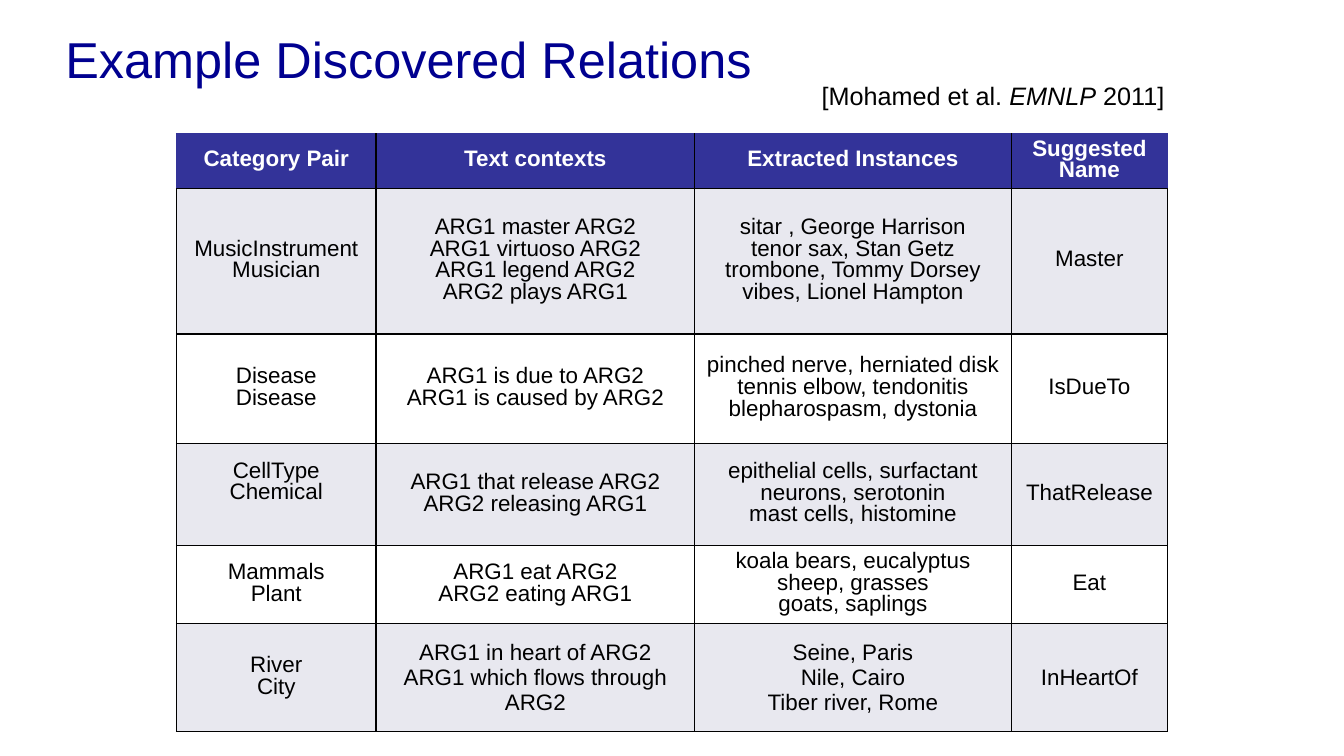
from lxml.etree import SubElement
from pptx import Presentation
from pptx.dml.color import RGBColor
from pptx.enum.text import MSO_ANCHOR as Anchor, PP_ALIGN as Align
from pptx.oxml.ns import qn
from pptx.util import Inches, Pt

NAVY, INDIGO, BLACK, WHITE, PALE = "000090", "333399", "000000", "FFFFFF", "E8E8EF"


def add_run(paragraph, text, size, color, bold=False, italic=False):
    run = paragraph.add_run()
    run.text = text
    font = run.font
    font.name, font.size, font.bold, font.italic = "Arial", Pt(size), bold, italic
    font.color.rgb = RGBColor.from_string(color)


def add_border(cell, side, color):
    line = SubElement(cell._tc.get_or_add_tcPr(), qn(f"a:ln{side}"), w=str(Pt(1)))
    SubElement(SubElement(line, qn("a:solidFill")), qn("a:srgbClr"), val=color)


prs = Presentation()
prs.slide_width, prs.slide_height = Inches(13.33), Inches(7.5)
slide = prs.slides.add_slide(prs.slide_layouts[6])

# Title
title = slide.shapes.add_textbox(Inches(0.55), Inches(0.35), Inches(9), Inches(0.45)).text_frame
title.word_wrap = True
title.vertical_anchor = Anchor.MIDDLE
add_run(title.paragraphs[0], "Example Discovered Relations", 36, NAVY)

# Relations table: each line of a cell is a paragraph
relations = [
    ["Category Pair", "Text contexts", "Extracted Instances", "Suggested Name"],
    ["MusicInstrument\nMusician",
     "ARG1 master ARG2\nARG1 virtuoso ARG2\nARG1 legend ARG2\nARG2 plays ARG1",
     "sitar , George Harrison\ntenor sax, Stan Getz\ntrombone, Tommy Dorsey\nvibes, Lionel Hampton",
     "Master"],
    ["Disease\nDisease",
     "ARG1 is due to ARG2\nARG1 is caused by ARG2",
     "pinched nerve, herniated disk\ntennis elbow, tendonitis\nblepharospasm, dystonia",
     "IsDueTo"],
    ["CellType\nChemical",
     "ARG1 that release ARG2\nARG2 releasing ARG1",
     "epithelial cells, surfactant\nneurons, serotonin\nmast cells, histomine",
     "ThatRelease"],
    ["Mammals\nPlant",
     "ARG1 eat ARG2\nARG2 eating ARG1",
     "koala bears, eucalyptus\nsheep, grasses\ngoats, saplings",
     "Eat"],
    ["River\nCity",
     "ARG1 in heart of ARG2\nARG1 which flows through ARG2",
     "Seine, Paris\nNile, Cairo\nTiber river, Rome",
     "InHeartOf"],
]
column_widths = [1.98, 3.16, 3.14, 1.55]
row_heights = [0.54, 1.44, 1.09, 1.01, 0.77, 1.07]
last_row, last_column = len(row_heights) - 1, len(column_widths) - 1

table = slide.shapes.add_table(len(row_heights), len(column_widths), Inches(1.75), Inches(1.33),
                               Inches(sum(column_widths)), Inches(sum(row_heights))).table
for column, width in zip(table.columns, column_widths):
    column.width = Inches(width)
for row, height in zip(table.rows, row_heights):
    row.height = Inches(height)

for r, relation in enumerate(relations):
    header = r == 0
    for c, content in enumerate(relation):
        cell = table.cell(r, c)
        # The header's outer edges blend into its fill
        outer_sides = {"T"} | ({"L"} if c == 0 else set()) | ({"R"} if c == last_column else set())
        for side in "LRTB":
            add_border(cell, side, INDIGO if header and side in outer_sides else BLACK)
        cell.fill.solid()
        cell.fill.fore_color.rgb = RGBColor.from_string(INDIGO if header else PALE if r % 2 else WHITE)

        # The last row is set looser, except for its category pair
        loose = r == last_row and c > 0
        cell.vertical_anchor = Anchor.MIDDLE
        cell.margin_left = cell.margin_right = Inches(0.1)
        cell.margin_top = Inches(0.05 if loose else 0.03)
        # The CellType pair sits above the middle of its cell
        cell.margin_bottom = Inches(0.27 if (r, c) == (3, 0) else 0.05)
        for i, text in enumerate(content.split("\n")):
            paragraph = cell.text_frame.add_paragraph() if i else cell.text_frame.paragraphs[0]
            paragraph.alignment = Align.CENTER
            paragraph.line_spacing = 1.0 if loose else 0.87
            add_run(paragraph, text, 16, WHITE if header else BLACK, bold=header)

# Citation
citation = slide.shapes.add_textbox(Inches(8.05), Inches(0.75), Inches(3.63), Inches(0.41)).text_frame
citation.word_wrap = False
for text, italic in [("[Mohamed et al. ", False), ("EMNLP", True), (" 2011]", False)]:
    add_run(citation.paragraphs[0], text, 18, BLACK, italic=italic)

prs.save("out.pptx")
